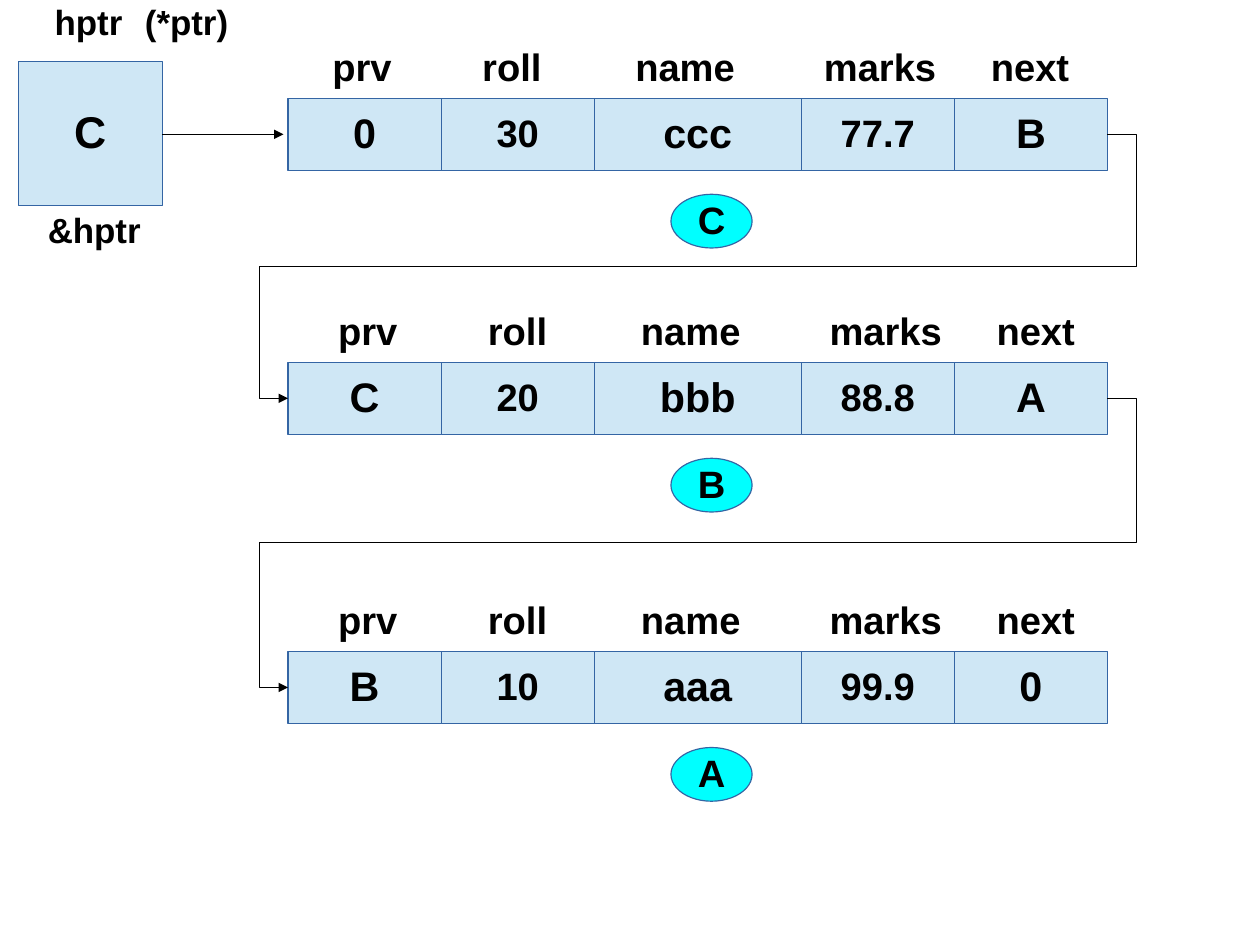
from itertools import accumulate

from pptx import Presentation
from pptx import util as u
from pptx.dml.color import RGBColor
from pptx.enum import shapes, text
from pptx.oxml.ns import qn
from lxml import etree

CM_PER_INCH = 2.54
FIELDS = ["prv", "roll", "name", "marks", "next"]
FIELD_WIDTHS = [1.34, 1.34, 1.81, 1.34, 1.34]
FIELD_SIZES = [26, 24, 26, 24, 26]
LABEL_LEFTS = [2.86, 4.17, 5.51, 7.16, 8.62]
LABEL_WIDTHS = [0.75, 0.75, 1.1, 1.21, 0.92]
ROW_LEFT, ROW_HEIGHT = 2.52, 0.63
ROW_RIGHT = ROW_LEFT + sum(FIELD_WIDTHS)
NODES = [
    (0.86, -0.05, ["0", "30", "ccc", "77.7", "B"], "C"),
    (3.17, 0, ["C", "20", "bbb", "88.8", "A"], "B"),
    (5.7, 0, ["B", "10", "aaa", "99.9", "0"], "A"),
]
INK, EDGE, CELL, ADDRESS = "000000", "3465A4", "CFE7F5", "00FFFF"


def paint(color_format, color):
    """Give a fill a solid colour from a hex string."""
    color_format.solid()
    color_format.fore_color.rgb = RGBColor.from_string(color)


def write(frame, words, size, align, anchor):
    """Write one bold unwrapped line into a text frame."""
    frame.word_wrap = False
    frame.vertical_anchor = anchor
    line = frame.paragraphs[0]
    line.alignment = align
    line.line_spacing = 0.94
    run = line.add_run()
    run.text = words
    run.font.name = "Arial"
    run.font.size = u.Pt(size)
    run.font.bold = True
    paint(run.font.fill, INK)


def add_label(slide, words, left, top, width, height, size):
    """Add a caption in a text box."""
    label = slide.shapes.add_textbox(*map(u.Inches, (left, top, width, height)))
    write(label.text_frame, words, size, text.PP_ALIGN.LEFT, text.MSO_ANCHOR.TOP)


def add_cell(slide, kind, words, left, top, width, height, size, fill):
    """Add an outlined shape with centred text."""
    cell = slide.shapes.add_shape(kind, *map(u.Inches, (left, top, width, height)))
    cell.shadow.inherit = False
    paint(cell.fill, fill)
    paint(cell.line.fill, EDGE)
    cell.line.width = u.Pt(0.75)
    write(cell.text_frame, words, size, text.PP_ALIGN.CENTER, text.MSO_ANCHOR.MIDDLE)


def add_arrow(slide, kind, start, end):
    """Add a thin black connector with a triangle at its end."""
    arrow = slide.shapes.add_connector(kind, *map(u.Inches, (*start, *end)))
    paint(arrow.line.fill, INK)
    arrow.line.width = u.Pt(0.75)
    properties = arrow._element.spPr
    etree.SubElement(properties.find(qn("a:ln")), qn("a:tailEnd"), type="triangle")
    etree.SubElement(properties, qn("a:effectLst"))
    return arrow


def add_link(slide, start, end):
    """Add an arrow that wraps from the end of one node to the start of the next."""
    link = add_arrow(slide, shapes.MSO_CONNECTOR.ELBOW, start, end)
    geometry = link._element.spPr.find(qn("a:prstGeom"))
    geometry.set("prst", "bentConnector5")
    bends = geometry.find(qn("a:avLst"))
    for number, bend in enumerate([-3500, 50000, 103500], 1):
        etree.SubElement(bends, qn("a:gd"), name=f"adj{number}", fmla=f"val {bend}")


def add_node(slide, top, label_shift, values, address):
    """Add a list node with its field names, values and address."""
    lefts = accumulate(FIELD_WIDTHS[:-1], initial=ROW_LEFT)
    for value, left, width, size in zip(values, lefts, FIELD_WIDTHS, FIELD_SIZES):
        add_cell(slide, shapes.MSO_SHAPE.RECTANGLE, value,
                 left, top, width, ROW_HEIGHT, size, CELL)
    for field, left, width in zip(FIELDS, LABEL_LEFTS, LABEL_WIDTHS):
        add_label(slide, field, left + label_shift, top - 0.5, width, 0.5, 24)
    add_cell(slide, shapes.MSO_SHAPE.OVAL, address,
             5.87, top + 0.84, 0.71, 0.47, 24, ADDRESS)


def main():
    """Build the linked list slide."""
    deck = Presentation()
    deck.slide_width = u.Inches(28 / CM_PER_INCH)
    deck.slide_height = u.Inches(21 / CM_PER_INCH)
    slide = deck.slides.add_slide(deck.slide_layouts[6])

    add_cell(slide, shapes.MSO_SHAPE.RECTANGLE, "C", 0.16, 0.54, 1.26, 1.26, 28, CELL)
    add_label(slide, "hptr", 0.38, -0.01, 0.82, 0.47, 22)
    add_label(slide, "(*ptr)", 1.17, -0.01, 0.96, 0.47, 22)
    add_label(slide, "&hptr", 0.32, 1.81, 1.04, 0.47, 22)

    for node in NODES:
        add_node(slide, *node)

    middles = [top + ROW_HEIGHT / 2 for top, *_ in NODES]
    add_arrow(slide, shapes.MSO_CONNECTOR.STRAIGHT, (1.42, middles[0]), (2.48, middles[0]))
    for upper, lower in zip(middles, middles[1:]):
        add_link(slide, (ROW_RIGHT, upper), (ROW_LEFT, lower))

    deck.save("out.pptx")


if __name__ == "__main__":
    main()
